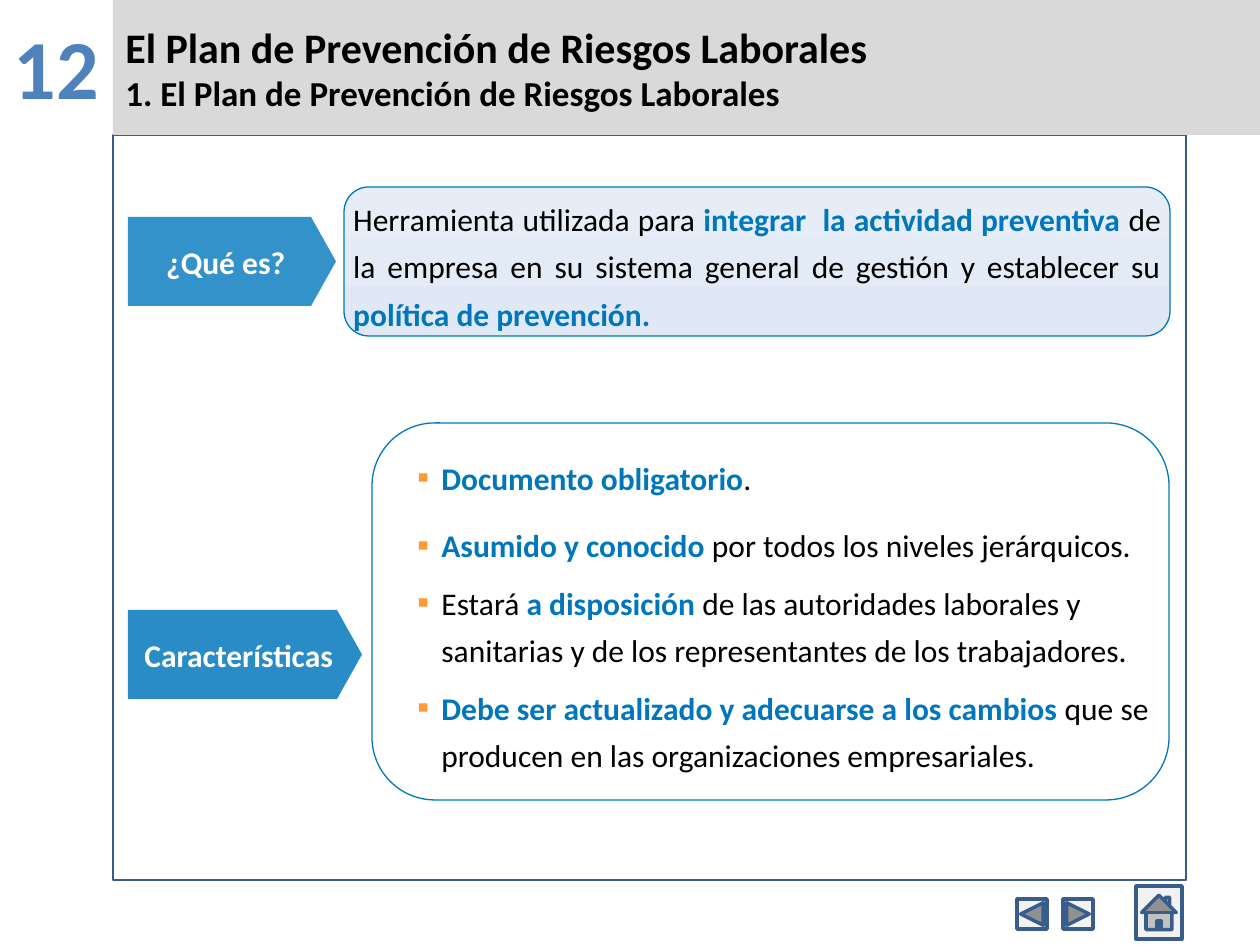
"""Build the slide that presents the occupational risk prevention plan."""
from lxml.etree import SubElement
from pptx import Presentation
from pptx.dml.color import RGBColor
from pptx.enum.shapes import MSO_SHAPE as SHAPE
from pptx.enum.text import MSO_ANCHOR as ANCHOR, PP_ALIGN as ALIGN
from pptx.oxml.ns import qn
from pptx.util import Pt

PX = 914400 / 126
BLUE = RGBColor(0x00, 0x77, 0xBD)
NAVY = RGBColor(0x38, 0x5D, 0x8A)
NUMBER_BLUE = RGBColor(0x4F, 0x81, 0xBD)
ORANGE = RGBColor(0xFF, 0x99, 0x33)
LIGHT_GRAY = RGBColor(0xF2, 0xF2, 0xF2)
HEADER_GRAY = RGBColor(0xD9, 0xD9, 0xD9)
PALE_TOP = RGBColor(0xE6, 0xED, 0xF6)
PALE_BOTTOM = RGBColor(0xE1, 0xE8, 0xF5)
BLACK = RGBColor(0, 0, 0)
WHITE = RGBColor(0xFF, 0xFF, 0xFF)

presentation = Presentation()
presentation.slide_width = int(1260 * PX)
presentation.slide_height = int(945 * PX)
slide = presentation.slides.add_slide(presentation.slide_layouts[6])


def add_shape(kind, box, fill=None, line=None, width=0.75, margin=0):
    shape = slide.shapes.add_shape(kind, *(int(value * PX) for value in box))
    shape.shadow.inherit = False
    if fill is None:
        shape.fill.background()
    else:
        shape.fill.solid()
        shape.fill.fore_color.rgb = fill
    if line is None:
        shape.line.fill.background()
    else:
        shape.line.color.rgb = line
        shape.line.width = Pt(width)
    text_frame = shape.text_frame
    text_frame.word_wrap = True
    text_frame.vertical_anchor = ANCHOR.MIDDLE
    if margin:
        text_frame.margin_left = text_frame.margin_right = int(margin * PX)
        text_frame.margin_top = text_frame.margin_bottom = int(margin * PX)
    return shape


def add_run(paragraph, text, size, color, bold):
    run = paragraph.add_run()
    run.text = text
    run.font.name = "Calibri"
    run.font.size = Pt(size)
    run.font.color.rgb = color
    run.font.bold = bold


add_shape(SHAPE.RECTANGLE, (113, 135, 1073, 745), line=NAVY)

buttons = [
    (SHAPE.ACTION_BUTTON_BACK_OR_PREVIOUS, (1017, 899, 30, 30)),
    (SHAPE.ACTION_BUTTON_FORWARD_OR_NEXT, (1063, 899, 30, 30)),
    (SHAPE.ACTION_BUTTON_HOME, (1136, 886, 46, 53)),
]
for kind, box in buttons:
    add_shape(kind, box, LIGHT_GRAY, NAVY, 2)

number = slide.shapes.add_textbox(0, 0, int(113 * PX), int(126 * PX))
number.text_frame.word_wrap = True
number.text_frame.margin_top = int(16 * PX)
paragraph = number.text_frame.paragraphs[0]
paragraph.alignment = ALIGN.CENTER
add_run(paragraph, "12", 48, NUMBER_BLUE, True)

header = add_shape(SHAPE.RECTANGLE, (113, 0, 1147, 135), HEADER_GRAY)
titles = [
    ("El Plan de Prevención de Riesgos Laborales", 24),
    ("1. El Plan de Prevención de Riesgos Laborales", 20),
]
for index, (title, size) in enumerate(titles):
    frame = header.text_frame
    paragraph = frame.add_paragraph() if index else frame.paragraphs[0]
    paragraph.alignment = ALIGN.LEFT
    add_run(paragraph, title, size, BLACK, True)

labels = [
    ("¿Qué es?", (128, 217, 208, 89), 80),
    ("Características", (128, 610, 234, 89), 84),
]
for text, box, opacity in labels:
    label = add_shape(SHAPE.PENTAGON, box, BLUE)
    label.adjustments[0] = 0.28
    color = label.fill._xPr.find(qn("a:solidFill"))[0]
    SubElement(color, qn("a:alpha"), val=str(opacity * 1000))
    paragraph = label.text_frame.paragraphs[0]
    paragraph.alignment = ALIGN.CENTER
    add_run(paragraph, text, 18, WHITE, True)

definition = add_shape(SHAPE.ROUNDED_RECTANGLE, (344, 187, 826, 149), line=BLUE, margin=2)
definition.fill.gradient()
definition.fill.gradient_angle = 270
for stop, color, position in zip(definition.fill.gradient_stops, (PALE_TOP, PALE_BOTTOM), (0, 1)):
    stop.color.rgb = color
    stop.position = position
paragraph = definition.text_frame.paragraphs[0]
paragraph.alignment = ALIGN.JUSTIFY
paragraph.line_spacing = 1.25
paragraph.space_after = Pt(5.6)
definition_runs = [
    ("Herramienta utilizada para ", False),
    ("integrar  la actividad preventiva", True),
    (" de la empresa en su sistema general de gestión y establecer su ", False),
    ("política de prevención.", True),
]
for text, strong in definition_runs:
    add_run(paragraph, text, 18, BLUE if strong else BLACK, strong)

features = add_shape(SHAPE.ROUNDED_RECTANGLE, (372, 423, 797, 377), line=BLUE, margin=2)
feature_runs = [
    [("Documento obligatorio", True), (".", False)],
    [("Asumido y conocido", True), (" por todos los niveles jerárquicos.", False)],
    [
        ("Estará ", False),
        ("a disposición", True),
        (" de las autoridades laborales y sanitarias y de los representantes de los trabajadores.", False),
    ],
    [
        ("Debe ser actualizado y adecuarse a los cambios", True),
        (" que se producen en las organizaciones empresariales.", False),
    ],
]
for index, runs in enumerate(feature_runs):
    frame = features.text_frame
    paragraph = frame.add_paragraph() if index else frame.paragraphs[0]
    paragraph.alignment = ALIGN.LEFT
    paragraph.line_spacing = 1.25
    if index:
        paragraph.space_before = Pt(6)
    else:
        paragraph.space_after = Pt(5.6)
    properties = paragraph._p.get_or_add_pPr()
    properties.set("marL", str(int(49 * PX)))
    properties.set("indent", str(int(-24 * PX)))
    bullet_color = SubElement(properties, qn("a:buClr"))
    SubElement(bullet_color, qn("a:srgbClr"), val=str(ORANGE))
    SubElement(properties, qn("a:buSzPct"), val="105000")
    SubElement(properties, qn("a:buFont"), typeface="Calibri")
    SubElement(properties, qn("a:buChar"), char="▪")
    for text, strong in runs:
        add_run(paragraph, text, 18, BLUE if strong else BLACK, strong)

presentation.save("out.pptx")
